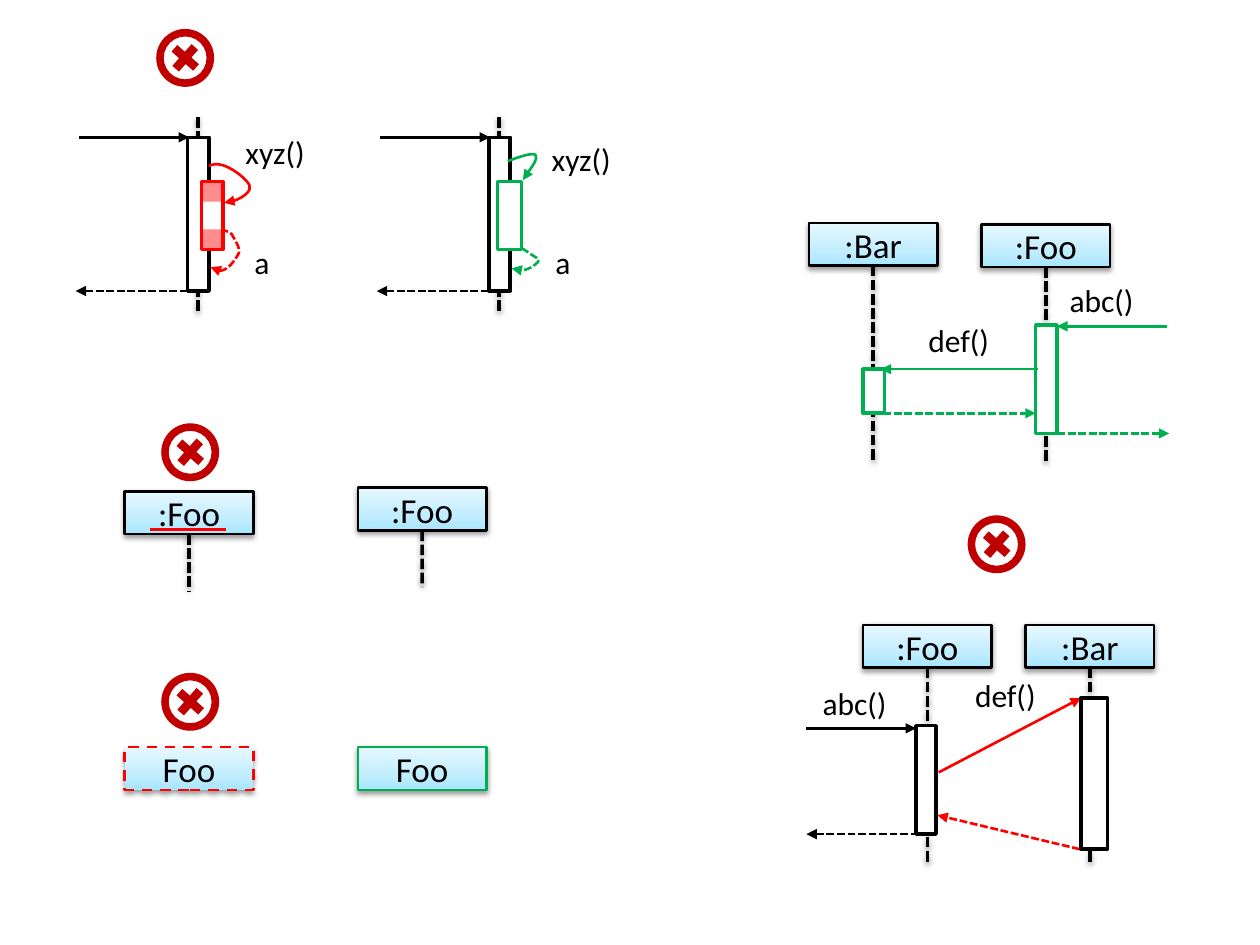
from dataclasses import dataclass
from typing import Optional

from lxml import etree
from pptx import Presentation
from pptx import util as u
from pptx.dml.color import RGBColor
from pptx.enum import dml, shapes, text
from pptx.oxml import parse_xml
from pptx.oxml.ns import nsdecls, qn

BLACK = RGBColor(0x00, 0x00, 0x00)
WHITE = RGBColor(0xFF, 0xFF, 0xFF)
RED = RGBColor(0xFF, 0x00, 0x00)
DARK_RED = RGBColor(0xC0, 0x00, 0x00)
GREEN = RGBColor(0x00, 0xB0, 0x50)
HEAD_STOPS = ((0, "A7E6FF"), (35, "C1EDFF"), (100, "E7F8FF"))

SHAPE = shapes.MSO_SHAPE
SHORT_DASH = dml.MSO_LINE.SQUARE_DOT
LONG_DASH = dml.MSO_LINE.DASH
HEAD_W, HEAD_H = 1.02, 0.34
BAR_W = 0.17


@dataclass
class Head:
    """Participant box, with a lifeline down to `end` if given."""
    label: str
    x: float
    y: float
    end: Optional[float] = None
    color: RGBColor = BLACK
    dash: Optional[dml.MSO_LINE] = None


@dataclass
class Bar:
    x: float
    y: float
    h: float
    color: RGBColor = BLACK
    w: float = BAR_W


@dataclass
class Arrow:
    x1: float
    y1: float
    x2: float
    y2: float
    color: RGBColor = BLACK
    dashed: bool = False


@dataclass
class Curve:
    """Cubic path: a start point, then three points for each segment."""
    points: list
    color: RGBColor
    dashed: bool = False


@dataclass
class Label:
    words: str
    x: float
    y: float
    w: float = 0.87


prs = Presentation()
prs.slide_width, prs.slide_height = u.Inches(10), u.Inches(7.5)
s = prs.slides.add_slide(prs.slide_layouts[6])


# --- formatting helpers ---
def set_line(line, color: RGBColor, width: float, dash=None, arrow: bool = False) -> None:
    line.color.rgb = color
    line.width = u.Pt(width)
    if dash is not None:
        line.dash_style = dash
    if arrow:
        etree.SubElement(line._get_or_add_ln(), qn("a:tailEnd"), type="triangle")


def add_shadow(effects) -> None:
    effects.append(parse_xml(
        f'<a:outerShdw {nsdecls("a")} blurRad="{u.Pt(3.1)}" dist="{u.Pt(1.6)}" dir="5400000" '
        'rotWithShape="0"><a:srgbClr val="000000"><a:alpha val="38000"/></a:srgbClr></a:outerShdw>'))


def write(tf, words: str, size: float) -> None:
    p = tf.paragraphs[0]
    r = p.add_run()
    r.text = words
    for name, value in {"name": "Calibri", "size": u.Pt(size)}.items():
        setattr(r.font, name, value)
    r.font.color.rgb = BLACK


def add_solid(parent, kind, x: float, y: float, w: float, h: float, fill: RGBColor):
    sp = parent.add_shape(kind, *map(u.Inches, (x, y, w, h)))
    sp.shadow.inherit = False
    sp.fill.solid()
    sp.fill.fore_color.rgb = fill
    sp.line.fill.background()
    return sp


# --- drawing functions ---
def add_line(x1: float, y1: float, x2: float, y2: float, color: RGBColor = BLACK,
             width: float = 1.5, dash=None, arrow: bool = False, shadow: bool = False):
    cx = s.shapes.add_connector(shapes.MSO_CONNECTOR.STRAIGHT, *map(u.Inches, (x1, y1, x2, y2)))
    set_line(cx.line, color, width, dash, arrow)
    effects = etree.SubElement(cx._element.spPr, qn("a:effectLst"))
    if shadow:
        add_shadow(effects)
    return cx


def add_lifeline(x: float, top: float, end: float):
    return add_line(x, top, x, end, width=2, dash=SHORT_DASH, shadow=True)


def add_head(d: Head) -> None:
    sp = add_solid(s.shapes, SHAPE.RECTANGLE, d.x, d.y, HEAD_W, HEAD_H, WHITE)
    sp.fill.gradient()
    sp.fill.gradient_angle = 90
    stops = sp._element.spPr.find(".//" + qn("a:gsLst"))
    for old in list(stops):
        stops.remove(old)
    for pos, color in HEAD_STOPS:
        gs = etree.SubElement(stops, qn("a:gs"), pos=str(pos * 1000))
        etree.SubElement(gs, qn("a:srgbClr"), val=color)
    set_line(sp.line, d.color, 1.5, d.dash)
    add_shadow(sp._element.spPr.find(qn("a:effectLst")))
    tf = sp.text_frame
    for side in ("left", "top", "right", "bottom"):
        setattr(tf, f"margin_{side}", 0)
    tf.vertical_anchor = text.MSO_ANCHOR.MIDDLE
    tf.paragraphs[0].alignment = text.PP_ALIGN.CENTER
    write(tf, d.label, 20)
    if d.end:
        add_lifeline(d.x + HEAD_W / 2, d.y + HEAD_H, d.end).begin_connect(sp, 2)


def add_bar(d: Bar) -> None:
    sp = add_solid(s.shapes, SHAPE.RECTANGLE, d.x, d.y, d.w, d.h, WHITE)
    set_line(sp.line, d.color, 2)


def add_arrow(d: Arrow) -> None:
    add_line(d.x1, d.y1, d.x2, d.y2, d.color, dash=SHORT_DASH if d.dashed else None, arrow=True)


def add_curve(d: Curve) -> None:
    points = [(u.Inches(x), u.Inches(y)) for x, y in d.points]
    builder = s.shapes.build_freeform(*points[0])
    builder.add_line_segments(points[1:], close=False)
    sp = builder.convert_to_shape()
    # Every three straight steps become one Bezier segment
    steps = list(sp._element.iter(qn("a:lnTo")))
    for i in range(0, len(steps), 3):
        bezier = etree.Element(qn("a:cubicBezTo"))
        steps[i].addprevious(bezier)
        for step in steps[i:i + 3]:
            bezier.append(step[0])
            step.getparent().remove(step)
    sp.shadow.inherit = False
    sp.fill.background()
    set_line(sp.line, d.color, 1.5, SHORT_DASH if d.dashed else None, arrow=True)


def add_label(d: Label) -> None:
    tf = s.shapes.add_textbox(*map(u.Inches, (d.x, d.y, d.w, 0.4))).text_frame
    tf.word_wrap = True
    tf.auto_size = text.MSO_AUTO_SIZE.SHAPE_TO_FIT_TEXT
    write(tf, d.words, 18)


def add_cross(x: float, y: float) -> None:
    group = s.shapes.add_group_shape().shapes
    add_solid(group, SHAPE.FLOWCHART_CONNECTOR, x, y, 0.46, 0.46, WHITE)
    add_solid(group, SHAPE.DONUT, x, y, 0.46, 0.46, DARK_RED).adjustments[0] = 0.13
    plus = add_solid(group, SHAPE.CROSS, x + 0.115, y + 0.115, 0.23, 0.23, DARK_RED)
    plus.adjustments[0] = 0.35
    plus.rotation = 41.5


DRAW = {Head: add_head, Bar: add_bar, Arrow: add_arrow, Curve: add_curve, Label: add_label}


def draw(*items) -> None:
    for item in items:
        DRAW[type(item)](item)


# --- self-calls: wrong and right ---
for dx in (0, 2.39):
    add_lifeline(1.57 + dx, 0.93, 2.49)
    draw(Arrow(0.63 + dx, 1.09, 1.5 + dx, 1.09),
         Arrow(1.49 + dx, 2.31, 0.6 + dx, 2.31, dashed=True),
         Bar(1.49 + dx, 1.09, 1.22),
         Label("a", 1.92 + dx, 1.88, 0.35))
draw(Curve([(1.75, 1.82), (1.76, 1.83), (1.82, 1.83), (1.84, 1.86), (1.86, 1.9), (1.92, 1.98),
            (1.89, 2.02), (1.86, 2.07), (1.77, 2.21), (1.67, 2.12)], RED, True),
     Curve([(1.66, 1.32), (1.76, 1.25), (1.96, 1.42), (1.98, 1.47), (2, 1.51), (1.91, 1.6),
            (1.78, 1.61)], RED),
     Bar(1.6, 1.44, 0.54, RED),
     Label("xyz()", 1.85, 1.01),
     Curve([(4.03, 1.28), (4.13, 1.24), (4.23, 1.21), (4.25, 1.23), (4.27, 1.26), (4.21, 1.34),
            (4.15, 1.43)], GREEN),
     Bar(3.95, 1.44, 0.54, GREEN, 0.19),
     Curve([(4.14, 1.97), (4.14, 1.97), (4.18, 1.99), (4.2, 2.01), (4.23, 2.03), (4.3, 2.06),
            (4.27, 2.08), (4.25, 2.1), (4.16, 2.18), (4.06, 2.13)], GREEN, True),
     Label("xyz()", 4.28, 1.06))
for y in (1.44, 1.82):  # tinted ends of the wrong bar
    tint = add_solid(s.shapes, SHAPE.RECTANGLE, 1.6, y, BAR_W, 0.16, RED)
    etree.SubElement(tint._element.spPr.find(".//" + qn("a:srgbClr")), qn("a:alpha"), val="45000")

# --- object and class boxes: wrong and right ---
draw(Head(":Foo", 0.99, 3.9, 4.69), Head(":Foo", 2.84, 3.87, 4.66),
     Head("Foo", 0.99, 5.93, color=RED, dash=LONG_DASH), Head("Foo", 2.84, 5.93, color=GREEN))
add_line(1.19, 4.2, 1.79, 4.2, RED)

# --- right call order ---
draw(Head(":Foo", 7.79, 1.78, 3.67), Head(":Bar", 6.42, 1.77, 3.67),
     Arrow(9.26, 2.59, 8.39, 2.59, GREEN), Arrow(8.39, 3.44, 9.28, 3.44, GREEN, True),
     Bar(8.22, 2.58, 0.86, GREEN),
     Arrow(8.24, 2.93, 6.99, 2.93, GREEN), Arrow(7.01, 3.28, 8.22, 3.28, GREEN, True),
     Bar(6.85, 2.93, 0.35, GREEN),
     Label("abc()", 8.39, 2.18, 0.78), Label("def()", 7.27, 2.5))

# --- wrong, slanted calls ---
draw(Head(":Foo", 6.85, 4.96, 6.85), Head(":Bar", 8.14, 4.96, 6.85),
     Arrow(6.4, 5.78, 7.27, 5.78), Arrow(7.29, 6.62, 6.4, 6.62, dashed=True),
     Bar(7.27, 5.76, 0.86, w=0.16),
     Arrow(7.45, 6.13, 8.58, 5.54, RED), Arrow(8.57, 6.74, 7.44, 6.47, RED, True),
     Bar(8.58, 5.54, 1.2, w=0.21),
     Label("abc()", 6.43, 5.38), Label("def()", 7.64, 5.32))

# --- crosses over the wrong examples ---
for x, y in ((1.24, 0.23), (1.28, 3.36), (1.28, 5.34), (7.68, 4.09)):
    add_cross(x, y)

prs.save("out.pptx")
